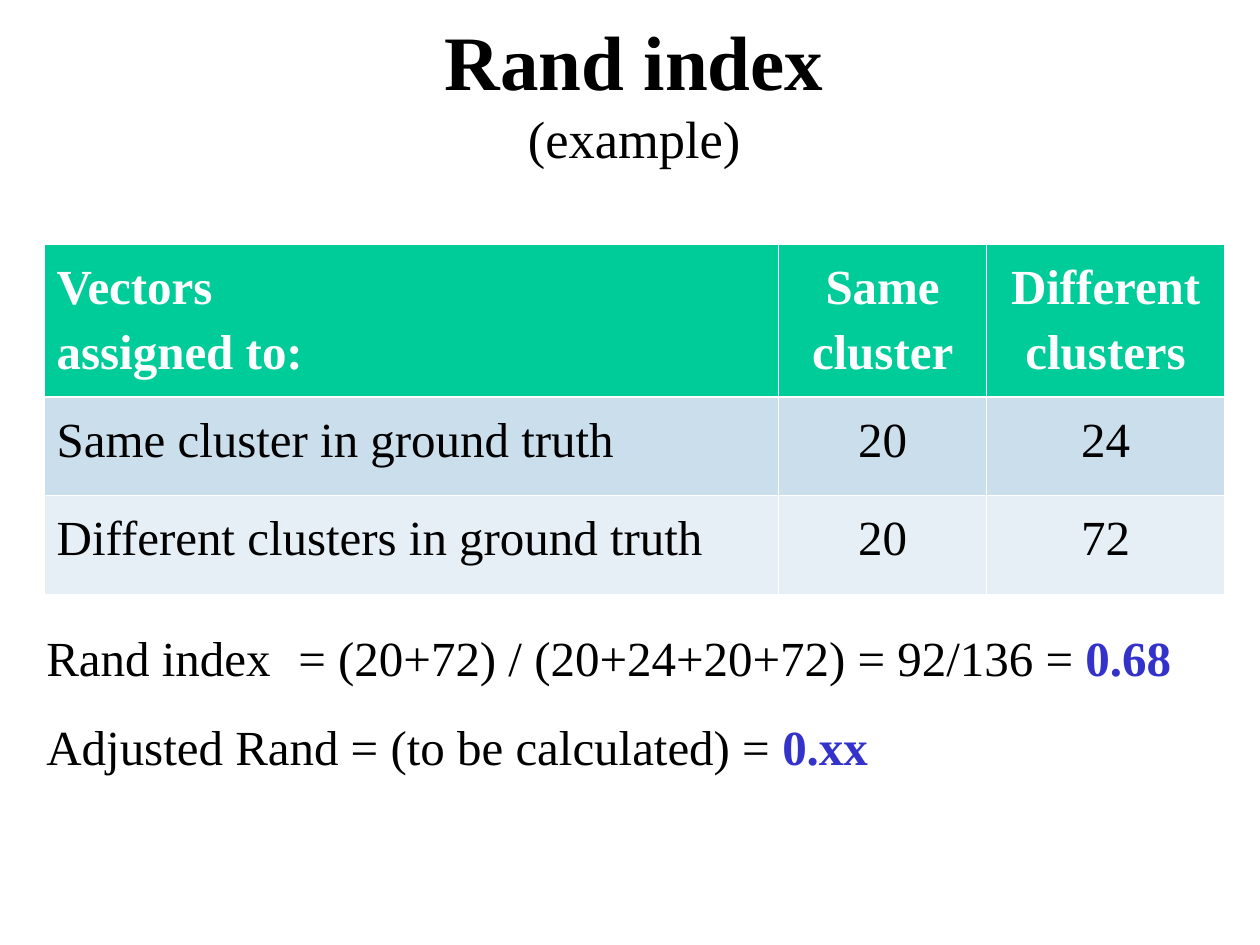
from dataclasses import dataclass
from typing import Any

from lxml import etree
from pptx import Presentation
from pptx import util as u
from pptx.dml.color import RGBColor
from pptx.enum import text
from pptx.oxml.ns import qn

BLACK, WHITE, BLUE, GREEN = "000000", "FFFFFF", "3333CC", "00CC99"
ROW_FILLS = [GREEN, "CBDEEC", "E7EFF6"]
THIN, THICK = 0.45, 1.47


def colour(value):
    return RGBColor.from_string(value)


@dataclass
class Sheet:
    deck: Any
    page: Any
    font: str = "Times New Roman"
    size: int = 28

    def across(self, percent):
        return round(self.deck.slide_width * percent / 100)

    def down(self, percent):
        return round(self.deck.slide_height * percent / 100)

    def area(self, left, top, width, height):
        return self.across(left), self.down(top), self.across(width), self.down(height)

    def span(self, para, words, ink=BLACK, bold=False, size=None):
        for number, line in enumerate(words.split("\n")):
            if number:
                para.add_line_break()
            span = para.add_run()
            span.text = line
            span.font.name = self.font
            span.font.size = u.Pt(size or self.size)
            span.font.bold = bold
            span.font.color.rgb = colour(ink)

    def title(self, place, heading, note):
        box = self.page.shapes.title
        box.left, box.top, box.width, box.height = self.area(*place)
        frame = box.text_frame
        frame.margin_left = frame.margin_right = frame.margin_top = frame.margin_bottom = 0
        frame.auto_size = text.MSO_AUTO_SIZE.NONE
        frame.vertical_anchor = text.MSO_ANCHOR.MIDDLE
        para = frame.paragraphs[0]
        para.alignment = text.PP_ALIGN.CENTER
        self.span(para, heading, bold=True, size=44)
        para.add_line_break()
        self.span(para, note, size=30)

    def formula(self, place, working, result, tab=None):
        box = self.page.shapes.add_textbox(*self.area(*place))
        box.text_frame.word_wrap = True
        para = box.text_frame.paragraphs[0]
        if tab:
            stops = etree.SubElement(para._p.get_or_add_pPr(), qn("a:tabLst"))
            etree.SubElement(stops, qn("a:tab"), pos=str(self.across(tab)), algn="l")
        self.span(para, working)
        self.span(para, result, BLUE, True)

    def borders(self, cell, top, bottom):
        properties = cell._tc.get_or_add_tcPr()
        for side, width in zip("LRTB", (THIN, THIN, top, bottom)):
            line = etree.SubElement(properties, qn(f"a:ln{side}"), w=str(u.Pt(width)))
            fill = etree.SubElement(line, qn("a:solidFill"))
            etree.SubElement(fill, qn("a:srgbClr"), val=WHITE)

    def table(self, place, widths, heights, rows):
        frame = self.page.shapes.add_table(len(rows), len(widths), *self.area(*place))
        table = frame.table
        for column, width in zip(table.columns, widths):
            column.width = self.across(width)
        for row, height in zip(table.rows, heights):
            row.height = self.down(height)
        for r, row in enumerate(rows):
            for c, words in enumerate(row):
                cell = table.cell(r, c)
                self.borders(cell, THICK if r == 1 else THIN, THICK if r == 0 else THIN)
                cell.fill.solid()
                cell.fill.fore_color.rgb = colour(ROW_FILLS[r])
                para = cell.text_frame.paragraphs[0]
                para.line_spacing = 1.19
                para.alignment = text.PP_ALIGN.CENTER if c else text.PP_ALIGN.LEFT
                self.span(para, words, BLACK if r else WHITE, r == 0)


def main():
    deck = Presentation()
    deck.slide_width, deck.slide_height = u.Inches(10), u.Inches(7.5)
    sheet = Sheet(deck, deck.slides.add_slide(deck.slide_layouts[5]))

    sheet.title((4.3, 4, 92.1, 11.33), "Rand index", "(example)")
    sheet.table(
        (3.5, 25.87, 93.7, 37),
        widths=[58.3, 16.5, 18.9],
        heights=[16.13, 10.45, 10.45],
        rows=[
            ["Vectors\nassigned to:", "Same cluster", "Different clusters"],
            ["Same cluster in ground truth", "20", "24"],
            ["Different clusters in ground truth", "20", "72"],
        ],
    )
    sheet.formula((2.7, 65.73, 93.7, 7.6),
                  "Rand index\t= (20+72) / (20+24+20+72) = 92/136 = ", "0.68", tab=20)
    sheet.formula((2.7, 75.2, 93.7, 7.6),
                  "Adjusted Rand = (to be calculated) = ", "0.xx")
    deck.save("out.pptx")


if __name__ == "__main__":
    main()
